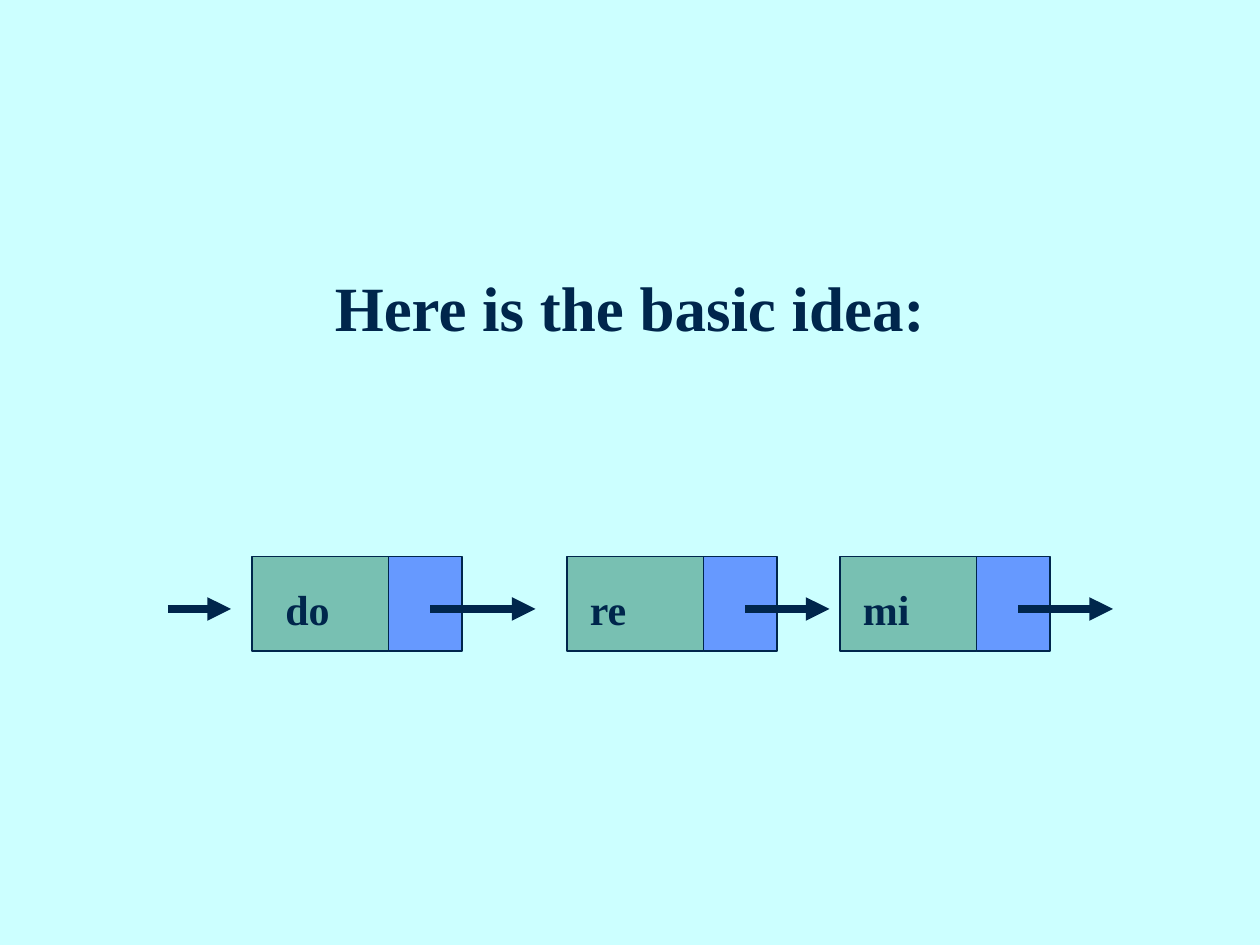
from dataclasses import dataclass

from lxml.etree import SubElement
from pptx import Presentation
from pptx.dml.color import RGBColor
from pptx.enum.shapes import MSO_CONNECTOR, MSO_SHAPE
from pptx.enum.text import MSO_AUTO_SIZE, PP_ALIGN
from pptx.oxml.ns import qn
from pptx.slide import Slide
from pptx.util import Inches, Length, Pt

PALE_CYAN = RGBColor(0xCC, 0xFF, 0xFF)
NAVY = RGBColor(0x00, 0x26, 0x4C)
TEAL = RGBColor(0x78, 0xC0, 0xB2)
BLUE = RGBColor(0x66, 0x99, 0xFF)

# Grid of 120 columns by 90 rows
COLUMNS, ROWS = 120, 90
NODE_TOP, NODE_ROWS = 53, 9
VALUE_COLUMNS, LINK_COLUMNS = 13, 7
ARROW_ROW, WORD_ROW, WORD_ROWS = 58, 55, 6
TITLE_ROW, TITLE_ROWS = 25, 8.4


@dataclass(frozen=True)
class Node:
    word: str
    left: float
    word_left: float
    word_columns: float


@dataclass(frozen=True)
class Arrow:
    start: float
    end: float


NODES = [
    Node("do", 24, 26, 10),
    Node("re", 54, 55, 11),
    Node("mi", 80, 81, 11),
]
ARROWS = [Arrow(16, 22), Arrow(41, 51), Arrow(71, 79), Arrow(97, 106)]


def grid(units: float) -> Length:
    """Length of a number of grid columns or rows."""
    return Inches(10 * units / COLUMNS)


def draw_cell(slide: Slide, left: float, columns: float, colour: RGBColor) -> None:
    cell = slide.shapes.add_shape(MSO_SHAPE.RECTANGLE, grid(left), grid(NODE_TOP),
                                  grid(columns), grid(NODE_ROWS))
    cell.shadow.inherit = False
    cell.fill.solid()
    cell.fill.fore_color.rgb = colour
    cell.line.color.rgb = NAVY
    cell.line.width = Pt(0.75)


def draw_arrow(slide: Slide, arrow: Arrow) -> None:
    line = slide.shapes.add_connector(MSO_CONNECTOR.STRAIGHT, grid(arrow.start),
                                      grid(ARROW_ROW), grid(arrow.end), grid(ARROW_ROW))
    line.line.color.rgb = NAVY
    line.line.width = Pt(4.5)
    SubElement(line.line._get_or_add_ln(), qn("a:tailEnd"), type="triangle")
    SubElement(line._element.spPr, qn("a:effectLst"))


def draw_text(slide: Slide, text: str, left: float, top: float, columns: float,
              rows: float, size: float, align: PP_ALIGN = PP_ALIGN.LEFT) -> None:
    box = slide.shapes.add_textbox(grid(left), grid(top), grid(columns), grid(rows))
    frame = box.text_frame
    frame.word_wrap = True
    frame.auto_size = MSO_AUTO_SIZE.SHAPE_TO_FIT_TEXT
    paragraph = frame.paragraphs[0]
    paragraph.alignment = align
    run = paragraph.add_run()
    run.text = text
    font_format = {"name": "Times New Roman", "size": Pt(size), "bold": True}
    for attribute, value in font_format.items():
        setattr(run.font, attribute, value)
    run.font.color.rgb = NAVY


def main() -> None:
    deck = Presentation()
    deck.slide_width, deck.slide_height = grid(COLUMNS), grid(ROWS)
    slide = deck.slides.add_slide(deck.slide_layouts[6])
    slide.background.fill.solid()
    slide.background.fill.fore_color.rgb = PALE_CYAN

    # List nodes: a value cell and a link cell each
    for node in NODES:
        draw_cell(slide, node.left, VALUE_COLUMNS, TEAL)
        draw_cell(slide, node.left + VALUE_COLUMNS, LINK_COLUMNS, BLUE)

    # Links between nodes
    for arrow in ARROWS:
        draw_arrow(slide, arrow)

    # Words in the nodes
    for node in NODES:
        draw_text(slide, node.word, node.word_left, WORD_ROW,
                  node.word_columns, WORD_ROWS, 24)

    # Title
    draw_text(slide, "Here is the basic idea:", 0, TITLE_ROW, COLUMNS, TITLE_ROWS,
              36, PP_ALIGN.CENTER)

    deck.save("out.pptx")


if __name__ == "__main__":
    main()
